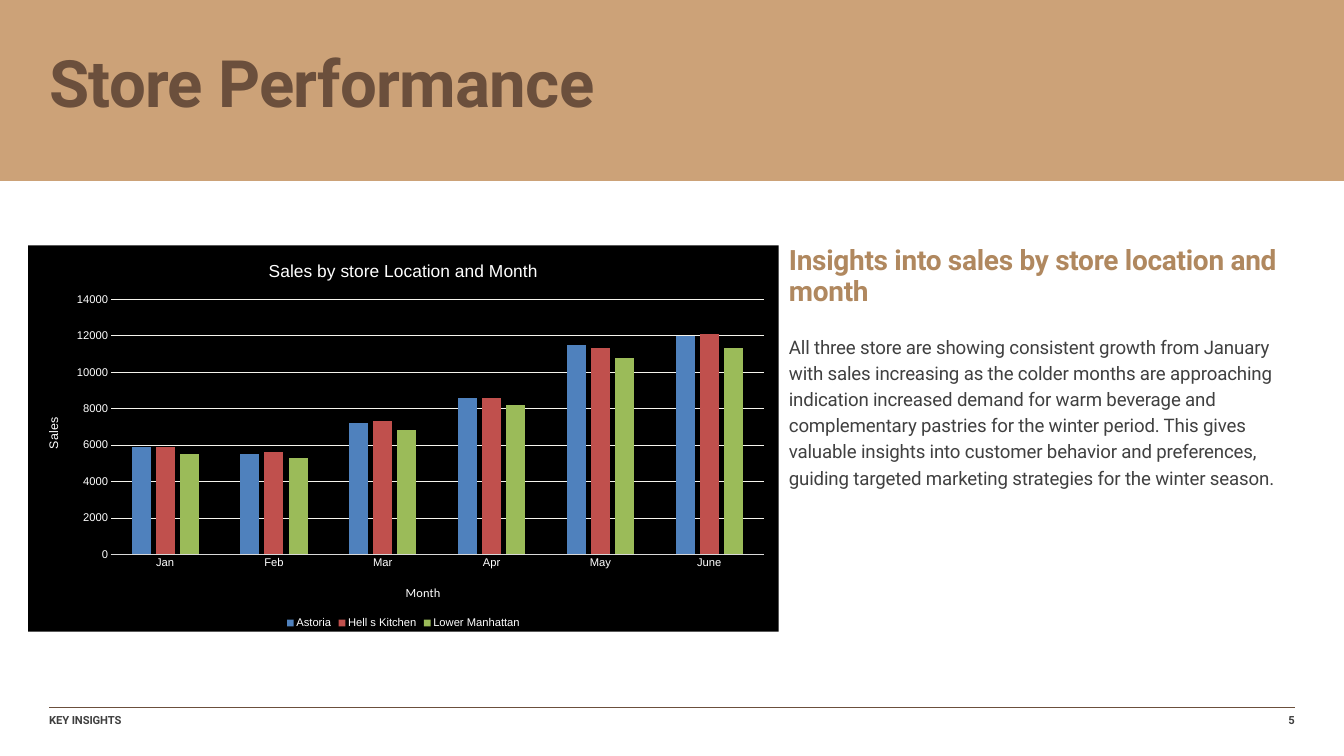
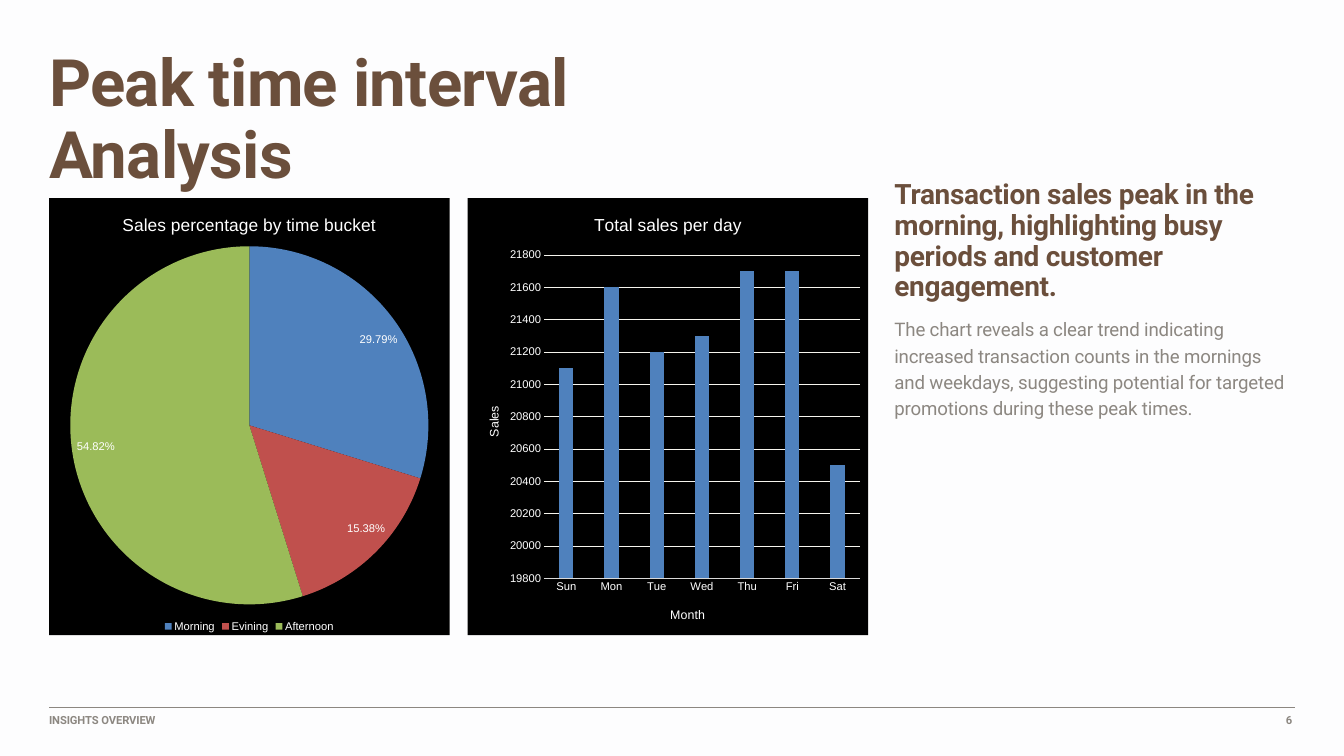
from pptx import Presentation
from pptx.chart.data import CategoryChartData
from pptx.dml.color import RGBColor
from pptx.enum import chart as ch, shapes, text
from pptx.oxml import parse_xml
from pptx.oxml import ns
from pptx.util import Pt

WHITE, BLACK = "FFFFFF", "000000"
BROWN, TAN, CARAMEL = "6B4F3C", "CCA278", "B0885F"
CHARCOAL, GREY = "404040", "8C8781"
GRID, AXIS = "F5F4ED", "D9D9D9"
SERIES_COLORS = ["4F81BD", "C0504D", "9BBB59"]
LEFT, RIGHT = 52.6, 1387.4


def rgb(value):
    return RGBColor.from_string(value)


def paint(fill, color):
    fill.solid()
    fill.fore_color.rgb = rgb(color)


def add_slide(prs, background):
    s = prs.slides.add_slide(prs.slide_layouts[6])
    paint(s.background.fill, background)
    return s


def style_font(font, size, color, name="Arial", bold=False):
    font.size, font.name, font.bold = Pt(size), name, bold
    font.color.rgb = rgb(color)


def add_text(s, words, box, size, color, leading, bold=False, tracking=0,
             align=text.PP_ALIGN.LEFT, wrap=True):
    tf = s.shapes.add_textbox(*map(Pt, box)).text_frame
    tf.margin_left = tf.margin_top = tf.margin_right = tf.margin_bottom = 0
    tf.word_wrap = wrap
    p = tf.paragraphs[0]
    p.alignment, p.line_spacing = align, Pt(leading)
    r = p.add_run()
    r.text = words
    style_font(r.font, size, color, "Roboto", bold)
    if tracking:
        r.font._element.set("spc", str(round(tracking * 100)))


def add_title(s, words, box):
    add_text(s, words, box, 70, BROWN, 77, True, -0.7)


def add_heading(s, words, box, color):
    add_text(s, words, box, 30, color, 33, True, -0.3)


def add_body(s, words, box, color):
    add_text(s, words, box, 20, color, 28, tracking=-0.2)


def add_band(s, height):
    sp = s.shapes.add_shape(shapes.MSO_SHAPE.RECTANGLE, 0, 0, Pt(1440), Pt(height))
    sp.shadow.inherit = False
    paint(sp.fill, TAN)
    sp.line.fill.background()


def add_footer(s, label, number, color, line_color, number_right=RIGHT):
    line = s.shapes.add_connector(shapes.MSO_CONNECTOR.STRAIGHT,
                                  Pt(LEFT), Pt(757.4), Pt(RIGHT), Pt(757.4))
    line.line.width = Pt(0.75)
    line.line.color.rgb = rgb(line_color)
    line._element.spPr.append(parse_xml(f"<a:effectLst {ns.nsdecls('a')}/>"))
    add_text(s, label, (LEFT, 761.8, 202.3, 17), 12, color, 16.8, True, -0.1)
    add_text(s, number, (number_right - 12.2, 761.8, 12.2, 15), 12, color, 16.8, True,
             align=text.PP_ALIGN.RIGHT, wrap=False)


def set_layout(parent, index, x, y, size=None):
    """Place a chart part by fractions of the chart; size is for the inner plot."""
    for old in parent.findall(ns.qn("c:layout")):
        parent.remove(old)
    parts = [("xMode", "edge"), ("yMode", "edge"), ("x", x), ("y", y)]
    if size:
        parts = [("layoutTarget", "inner")] + parts + [("w", size[0]), ("h", size[1])]
    inner = "".join(f'<c:{tag} val="{val}"/>' for tag, val in parts)
    parent.insert(index, parse_xml(
        f"<c:layout {ns.nsdecls('c')}><c:manualLayout>{inner}</c:manualLayout></c:layout>"))


def write_title(title, words, size, font="Arial"):
    r = title.text_frame.paragraphs[0].add_run()
    r.text = words
    style_font(r.font, size, WHITE, font)


def add_dark_chart(s, kind, box, title, categories, series, plot, number_format="General"):
    """Add a titled chart on black; plot is x, y, width, height as fractions."""
    data = CategoryChartData(number_format=number_format)
    data.categories = categories
    for name, values in series.items():
        data.add_series(name, values)
    chart = s.shapes.add_chart(kind, *map(Pt, box), data).chart
    style_font(chart.font, 10, BLACK, "Calibri")
    chart.has_title = True
    write_title(chart.chart_title, title, 18.6)
    chart.chart_title.include_in_layout = False
    chart.has_legend = len(categories) == 3 or len(series) > 1
    if chart.has_legend:
        chart.legend.position = ch.XL_LEGEND_POSITION.BOTTOM
        chart.legend.include_in_layout = False
        style_font(chart.legend.font, 12, WHITE)
    root = chart.element.find(ns.qn("c:chart"))
    set_layout(root.find(ns.qn("c:plotArea")), 0, *plot[:2], plot[2:])
    root.addnext(parse_xml(
        f"<c:spPr {ns.nsdecls('c', 'a')}><a:solidFill><a:srgbClr val=\"{BLACK}\"/>"
        "</a:solidFill><a:ln><a:noFill/></a:ln></c:spPr>"))
    return chart


def style_axis(axis, title, place, font="Arial"):
    axis.has_title = True
    write_title(axis.axis_title, title, 13.3, font)
    set_layout(axis.axis_title.element, 1, *place)
    axis.major_tick_mark = axis.minor_tick_mark = ch.XL_TICK_MARK.NONE
    style_font(axis.tick_labels.font, 12, WHITE)


def add_columns(s, box, title, categories, series, plot, scale, month_at, sales_at,
                month_font="Arial"):
    chart = add_dark_chart(s, ch.XL_CHART_TYPE.COLUMN_CLUSTERED, box, title,
                           categories, series, plot)
    columns = chart.plots[0]
    columns.vary_by_categories = False
    columns.gap_width, columns.overlap = 219, -27
    for one, color in zip(columns.series, SERIES_COLORS):
        paint(one.format.fill, color)
    months, sales = chart.category_axis, chart.value_axis
    style_axis(months, "Month", month_at, month_font)
    months.format.line.color.rgb = rgb(AXIS)
    months.format.line.width = Pt(0.75)
    style_axis(sales, "Sales", sales_at)
    sales.format.line.fill.background()
    sales.minimum_scale, sales.maximum_scale, sales.major_unit = scale
    grid = sales.major_gridlines.format.line
    grid.color.rgb = rgb(GRID)
    grid.width = Pt(0.75)


def add_pie(s, box, title, categories, values, plot):
    chart = add_dark_chart(s, ch.XL_CHART_TYPE.PIE, box, title, categories,
                           {"Series 1": values}, plot, "0.00%")
    pie = chart.plots[0].series[0]
    for i, color in enumerate(SERIES_COLORS):
        paint(pie.points[i].format.fill, color)
    labels = pie.data_labels
    labels.show_value = True
    labels.number_format, labels.number_format_is_linked = "0.00%", False
    labels.position = ch.XL_LABEL_POSITION.BEST_FIT
    style_font(labels.font, 12, WHITE)


def store_slide(prs):
    s = add_slide(prs, WHITE)
    add_band(s, 193.7)
    add_title(s, "Store Performance", (LEFT, 51.8, 995, 77.8))
    add_columns(
        s, (30.2, 262.8, 804.2, 414), "Sales by store Location and Month",
        ["Jan", "Feb", "Mar", "Apr", "May", "June"],
        {"Astoria": [5900, 5500, 7200, 8600, 11500, 12000],
         "Hell s Kitchen": [5900, 5600, 7300, 8600, 11300, 12100],
         "Lower Manhattan": [5500, 5300, 6800, 8200, 10800, 11300]},
        (0.11, 0.14, 0.87, 0.66), (0, 14000, 2000), (0.5, 0.87), (0.02, 0.44), "Calibri")
    add_heading(s, "Insights into sales by store location and month",
                (845.3, 262.8, 542.2, 67), CARAMEL)
    add_body(s, "All three store are showing consistent growth from January with sales "
             "increasing as the colder months are approaching indication increased demand "
             "for warm beverage and complementary pastries for the winter period. This "
             "gives valuable insights into customer behavior and preferences, guiding "
             "targeted marketing strategies for the winter season.",
             (845.3, 355.7, 542.2, 195.8), CHARCOAL)
    add_footer(s, "KEY INSIGHTS", "5", CHARCOAL, BROWN)


def peak_slide(prs):
    s = add_slide(prs, "FDFDFE")
    add_title(s, "Peak time interval Analysis", (LEFT, 51.1, 769, 155.5))
    top, width, height = 212.4, 429.1, 468
    add_pie(s, (LEFT, top, width, height), "Sales percentage by time bucket",
            ["Morning", "Evining", "Afternoon"], [0.2979, 0.1538, 0.5482],
            (0.05, 0.11, 0.9, 0.82))
    add_columns(
        s, (501.1, top, width, height), "Total sales per day",
        ["Sun", "Mon", "Tue", "Wed", "Thu", "Fri", "Sat"],
        {"Series 1": [21100, 21600, 21200, 21300, 21700, 21700, 20500]},
        (0.19, 0.13, 0.79, 0.74), (19800, 21800, 200), (0.5, 0.93), (0.04, 0.47))
    add_heading(s, "Transaction sales peak in the morning, highlighting busy periods "
                "and customer engagement.", (958.3, 192.2, width, 133.2), BROWN)
    add_body(s, "The chart reveals a clear trend indicating increased transaction counts "
             "in the mornings and weekdays, suggesting potential for targeted promotions "
             "during these peak times.", (958.3, 337, width, 111.6), GREY)
    add_footer(s, "INSIGHTS OVERVIEW", "6", GREY, GREY, 1384.6)


def main():
    prs = Presentation()
    prs.slide_width, prs.slide_height = Pt(1440), Pt(810)
    store_slide(prs)
    peak_slide(prs)
    prs.save("out.pptx")


if __name__ == "__main__":
    main()
